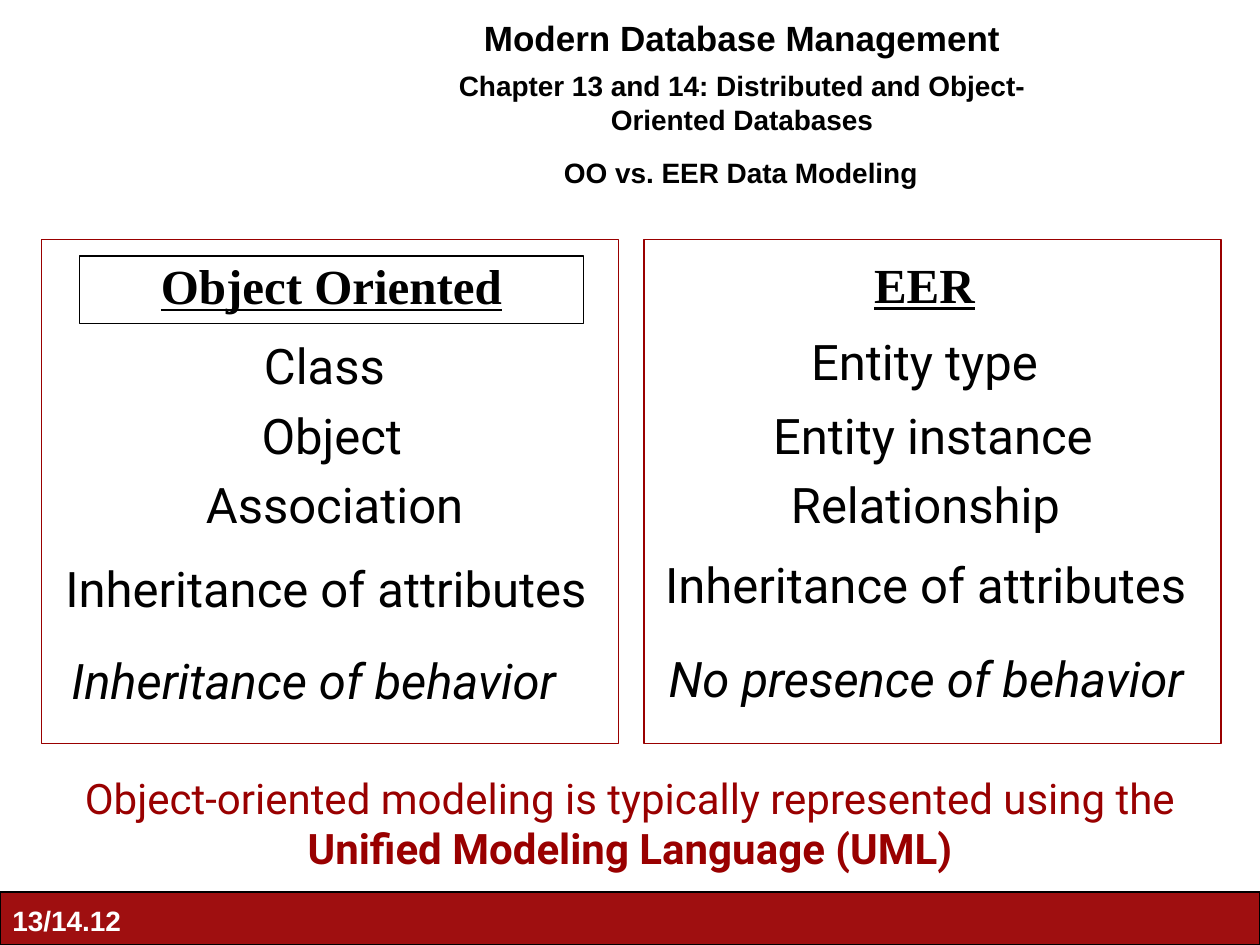
"""Build the slide that compares OO and EER data modeling."""
from dataclasses import dataclass

from pptx import Presentation
from pptx.dml.color import RGBColor as Rgb
from pptx.enum.shapes import MSO_SHAPE as Kind
from pptx.enum.text import MSO_ANCHOR as Anchor, PP_ALIGN as Align
from pptx.util import Cm, Pt


@dataclass(frozen=True)
class Theme:
    sans: str = "Arial"
    serif: str = "Times New Roman"
    main: str = "Roboto"
    black: str = "000000"
    white: str = "FFFFFF"
    red: str = "990000"
    band: str = "9F0F10"
    big: float = 28
    note: float = 24
    head: float = 20
    small: float = 16


T = Theme()


@dataclass(frozen=True)
class Box:
    left: float
    top: float
    wide: float
    high: float

    def place(self) -> tuple:
        return Cm(self.left), Cm(self.top), Cm(self.wide), Cm(self.high)


@dataclass(frozen=True)
class Style:
    font: str = T.main
    size: float = T.big
    color: str = T.black
    bold: bool = False
    slant: bool = False
    under: bool = False
    align: Align = Align.CENTER
    before: float = 7
    line: float = 1


@dataclass(frozen=True)
class Label:
    box: Box
    text: str
    style: Style


def draw_rect(slide, box: Box, line: str, width: float, fill: str = ""):
    rect = slide.shapes.add_shape(Kind.RECTANGLE, *box.place())
    rect.shadow.inherit = False
    if fill:
        rect.fill.solid()
        rect.fill.fore_color.rgb = Rgb.from_string(fill)
    else:
        rect.fill.background()
    rect.line.color.rgb = Rgb.from_string(line)
    rect.line.width = Pt(width)
    return rect


def add_frame(slide, box: Box):
    return ready(slide.shapes.add_textbox(*box.place()))


def ready(shape):
    frame = shape.text_frame
    frame.word_wrap = True
    frame.vertical_anchor = Anchor.TOP
    return frame


def set_para(para, text: str, style: Style) -> None:
    para.text = text
    para.alignment = style.align
    para.space_before = Pt(style.before)
    para.line_spacing = style.line
    font = para.font
    font.name, font.size = style.font, Pt(style.size)
    font.color.rgb = Rgb.from_string(style.color)
    if style.bold:
        font.bold = True
    font.italic, font.underline = style.slant, style.under


def draw_label(slide, label: Label) -> None:
    frame = add_frame(slide, label.box)
    set_para(frame.paragraphs[0], label.text, label.style)


TERM = Style()
LONG = Style(align=Align.LEFT)
SLANT = Style(align=Align.LEFT, slant=True)
TITLE = Style(T.sans, T.small, bold=True, before=0)
TOPIC = Style(T.sans, T.head, bold=True, before=12.5)
PART = Style(T.sans, T.small, bold=True, before=6)
PAGE = Style(T.sans, T.small, T.white, bold=True, align=Align.LEFT, before=10)
NAME = Style(T.serif, bold=True, under=True)
TIGHT = Style(T.serif, bold=True, under=True, line=0.9)
NOTE = Style(size=T.note, color=T.red, before=0)

LABELS = (
    Label(Box(15.04, 5, 7.19, 1.47), "EER", NAME),
    Label(Box(3.1, 6.63, 6.88, 1.55), "Class", TERM),
    Label(Box(15.04, 6.55, 7.19, 1.47), "Entity type", TERM),
    Label(Box(3.53, 8.05, 6.32, 1.47), "Object", TERM),
    Label(Box(15.21, 8.05, 7.19, 1.47), "Entity instance", TERM),
    Label(Box(3.66, 9.45, 6.17, 1.7), "Association", TERM),
    Label(Box(15.06, 9.45, 7.19, 1.7), "Relationship", TERM),
    Label(Box(1.07, 11.13, 11.23, 1.7), "Inheritance of attributes", LONG),
    Label(Box(13.16, 11.05, 11.4, 1.45), "Inheritance of attributes", LONG),
    Label(Box(1.19, 12.98, 11, 1.7), "Inheritance of behavior", SLANT),
    Label(Box(13.23, 12.95, 11.4, 1.55), "No presence of behavior", SLANT),
)


def draw_head(slide) -> None:
    draw_rect(slide, Box(0, 17.98, 25.4, 1.07), T.black, 0.75, T.band)
    draw_label(slide, Label(Box(0, 18.08, 3.61, 0.94), "13/14.12", PAGE))
    frame = add_frame(slide, Box(7.9, 0.2, 14.12, 2.67))
    set_para(frame.paragraphs[0], "Modern Database Management", TOPIC)
    part = "Chapter 13 and 14: Distributed and Object-Oriented Databases"
    set_para(frame.add_paragraph(), part, PART)
    title = Box(10.59, 3.02, 8.69, 0.99)
    draw_label(slide, Label(title, "OO vs. EER Data Modeling", TITLE))


def draw_terms(slide) -> None:
    plate = Box(1.6, 5.16, 10.16, 1.37)
    rect = draw_rect(slide, plate, T.black, 0.75, T.white)
    set_para(ready(rect).paragraphs[0], "Object Oriented", TIGHT)
    for label in LABELS:
        draw_label(slide, label)
    for left in (0.84, 12.98):
        draw_rect(slide, Box(left, 4.83, 11.63, 10.16), T.red, 1)


def draw_note(slide) -> None:
    para = add_frame(slide, Box(1.27, 15.44, 22.86, 2.29)).paragraphs[0]
    text = "Object-oriented modeling is typically represented using the "
    set_para(para, text, NOTE)
    run = para.add_run()
    run.text = "Unified Modeling Language (UML)"
    run.font.bold = True


def main() -> None:
    deck = Presentation()
    deck.slide_width, deck.slide_height = Cm(25.4), Cm(19.05)
    slide = deck.slides.add_slide(deck.slide_layouts[6])
    draw_head(slide)
    draw_terms(slide)
    draw_note(slide)
    deck.save("out.pptx")


if __name__ == "__main__":
    main()
